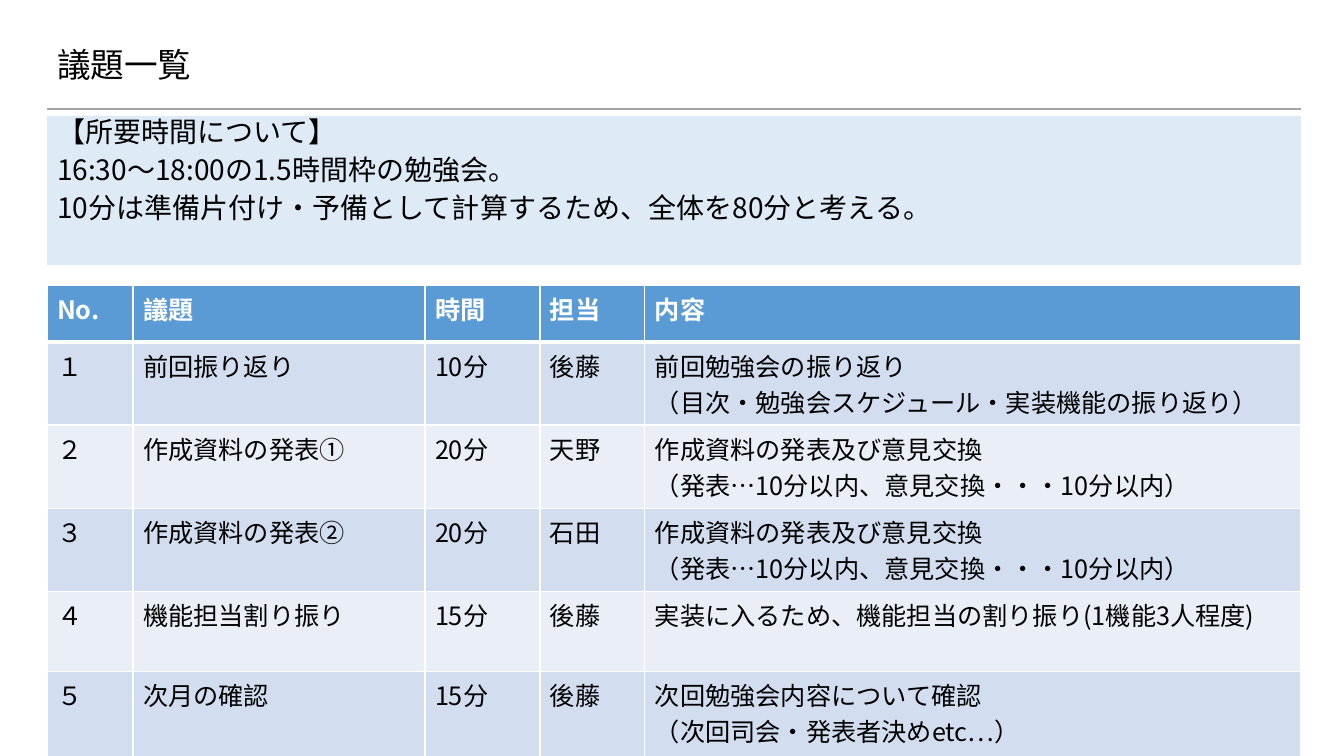
from lxml.etree import SubElement
from pptx import Presentation
from pptx.dml.color import RGBColor
from pptx.enum.shapes import MSO_CONNECTOR
from pptx.enum.text import MSO_ANCHOR, MSO_AUTO_SIZE, PP_ALIGN
from pptx.oxml.ns import qn
from pptx.util import Emu, Pt

EMU_PER_PIXEL = 914400 / 100.8
FONT = "Noto Sans CJK JP"
LEFT, WIDTH = 47, 1254
TABLE_TOP = 285
COLUMN_WIDTHS = [86, 292, 115, 105, 656]
ROW_HEIGHTS = [57, 73, 70, 69, 80, 99]
HEADER_FILL = "5B9BD5"
BAND_FILLS = ["D2DEEF", "EAEFF7"]

TIME_NOTES = [
    "【所要時間について】",
    "16:30～18:00の1.5時間枠の勉強会。",
    "10分は準備片付け・予備として計算するため、全体を80分と考える。",
]
PRESENTATION_DETAILS = [
    "作成資料の発表及び意見交換",
    "（発表…10分以内、意見交換・・・10分以内）",
]
HEADINGS = ["No.", "議題", "時間", "担当", "内容"]
AGENDA = [
    ("１", "前回振り返り", "10分", "後藤",
     ["前回勉強会の振り返り", "（目次・勉強会スケジュール・実装機能の振り返り）"]),
    ("２", "作成資料の発表①", "20分", "天野", PRESENTATION_DETAILS),
    ("３", "作成資料の発表②", "20分", "石田", PRESENTATION_DETAILS),
    ("４", "機能担当割り振り", "15分", "後藤",
     ["実装に入るため、機能担当の割り振り(1機能3人程度)"]),
    ("５", "次月の確認", "15分", "後藤",
     ["次回勉強会内容について確認", "（次回司会・発表者決めetc…）"]),
]


def px(pixels):
    """Turn whole pixels into EMU."""
    return Emu(round(pixels * EMU_PER_PIXEL))


def color(hex_code):
    """Turn a hex string into a colour."""
    return RGBColor.from_string(hex_code)


def fill_solid(target, hex_code):
    """Fill a shape or cell with one colour."""
    target.fill.solid()
    target.fill.fore_color.rgb = color(hex_code)


def place(shape, left, top, width, height):
    """Move and size a shape in pixels."""
    shape.left, shape.top = px(left), px(top)
    shape.width, shape.height = px(width), px(height)


def write(frame, lines, size, hex_code="000000", bold=False):
    """Write each line as one left-aligned paragraph."""
    for index, line in enumerate(lines):
        paragraph = frame.add_paragraph() if index else frame.paragraphs[0]
        paragraph.alignment = PP_ALIGN.LEFT
        run = paragraph.add_run()
        run.text = line
        run.font.size, run.font.bold = Pt(size), bold
        run.font.name = FONT
        run.font.color.rgb = color(hex_code)
        SubElement(run.font._element, qn("a:ea"), typeface=FONT)


def add_title(slide, heading):
    """Format the title placeholder."""
    title = slide.shapes.title
    place(title, LEFT, 37, 1159, 59)
    frame = title.text_frame
    frame.auto_size = MSO_AUTO_SIZE.NONE
    frame.vertical_anchor = MSO_ANCHOR.MIDDLE
    write(frame, [heading], 24)
    frame.paragraphs[0].line_spacing = 0.9


def add_rule(slide, y):
    """Draw the grey line below the title."""
    rule = slide.shapes.add_connector(
        MSO_CONNECTOR.STRAIGHT, px(LEFT), px(y), px(LEFT + WIDTH), px(y))
    rule.line.color.rgb = color("A5A5A5")
    rule.line.width = Pt(1.5)
    SubElement(rule._element.spPr, qn("a:effectLst"))


def add_time_notes(slide):
    """Format the body placeholder as a tinted box without bullets."""
    notes = slide.placeholders[1]
    place(notes, LEFT, 116, WIDTH, 149)
    fill_solid(notes, "DEEBF7")
    notes.line.fill.background()
    frame = notes.text_frame
    frame.auto_size = MSO_AUTO_SIZE.NONE
    frame.vertical_anchor = MSO_ANCHOR.TOP
    write(frame, TIME_NOTES, 20)
    for paragraph in frame.paragraphs:
        paragraph.line_spacing = 0.8
        paragraph.space_before = Pt(8)
        properties = paragraph._p.get_or_add_pPr()
        properties.set("marL", "0")
        properties.set("indent", "0")
        SubElement(properties, qn("a:buNone"))


def set_border(cell, side, points):
    """Give one side of a cell a white border."""
    border = SubElement(cell._tc.get_or_add_tcPr(), qn(f"a:ln{side}"),
                        w=str(Pt(points)))
    SubElement(SubElement(border, qn("a:solidFill")), qn("a:srgbClr"),
               val="FFFFFF")


def format_cell(cell, lines, fill, text_color, bold, top, bottom):
    """Write, border and fill one table cell."""
    write(cell.text_frame, lines, 18, text_color, bold)
    for side, points in zip("LRTB", (1, 1, top, bottom)):
        set_border(cell, side, points)
    fill_solid(cell, fill)


def add_agenda(slide):
    """Build the agenda table with a header and banded rows."""
    agenda = slide.shapes.add_table(
        len(ROW_HEIGHTS), len(COLUMN_WIDTHS), px(LEFT), px(TABLE_TOP),
        px(WIDTH), px(sum(ROW_HEIGHTS))).table
    for column, width in zip(agenda.columns, COLUMN_WIDTHS):
        column.width = px(width)
    for row, height in zip(agenda.rows, ROW_HEIGHTS):
        row.height = px(height)
    for cell, heading in zip(agenda.rows[0].cells, HEADINGS):
        format_cell(cell, [heading], HEADER_FILL, "FFFFFF", True, 1, 3)
    for number, (*labels, details) in enumerate(AGENDA, 1):
        contents = [[label] for label in labels] + [details]
        fill = BAND_FILLS[(number - 1) % 2]
        top = 3 if number == 1 else 1
        for cell, lines in zip(agenda.rows[number].cells, contents):
            format_cell(cell, lines, fill, "000000", False, top, 1)


def main():
    """Build and save the agenda slide."""
    deck = Presentation()
    deck.slide_width, deck.slide_height = px(1344), px(756)
    slide = deck.slides.add_slide(deck.slide_layouts[1])
    add_rule(slide, 109)
    add_title(slide, "議題一覧")
    add_time_notes(slide)
    add_agenda(slide)
    deck.save("out.pptx")


main()
